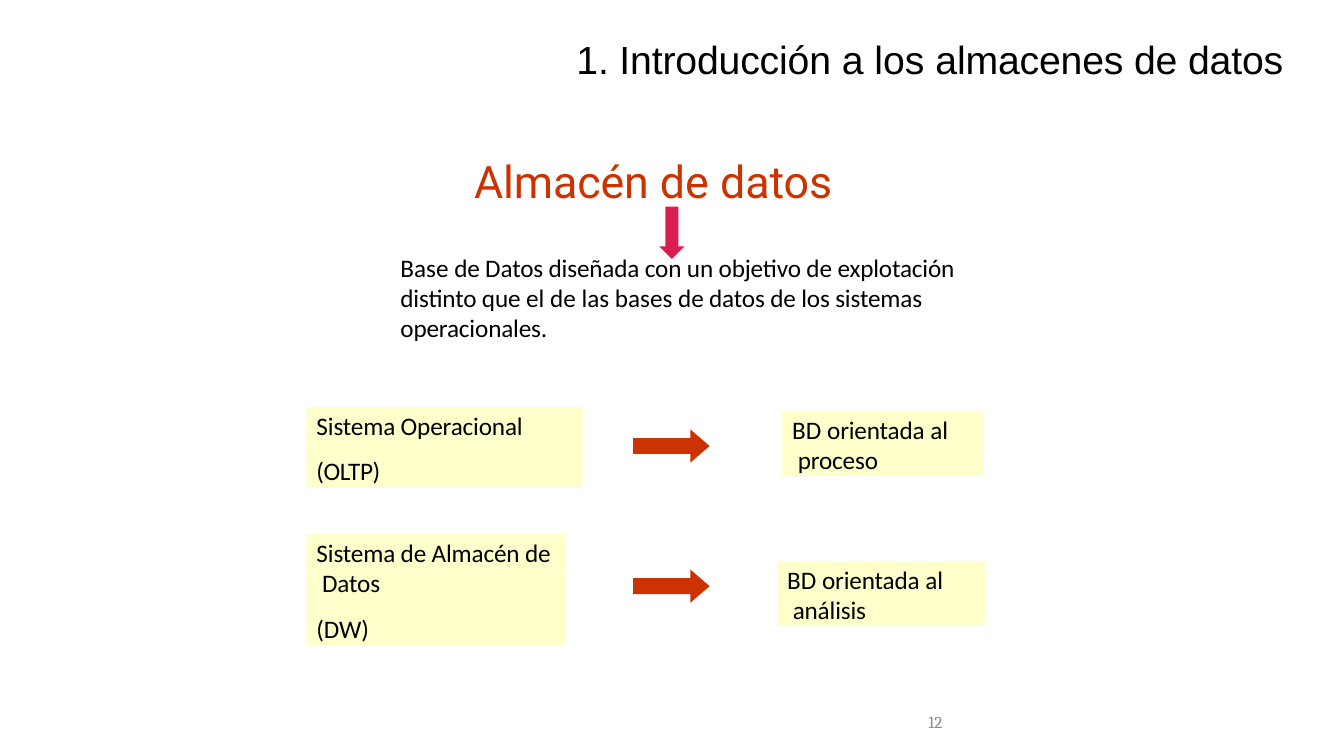
from pptx import Presentation
from pptx.dml.color import RGBColor
from pptx.enum.shapes import MSO_SHAPE
from pptx.enum.text import MSO_ANCHOR
from pptx.util import Pt

RECT = MSO_SHAPE.RECTANGLE
RIGHT = MSO_SHAPE.RIGHT_ARROW
DOWN = MSO_SHAPE.DOWN_ARROW
TOP = MSO_ANCHOR.TOP
MIDDLE = MSO_ANCHOR.MIDDLE

BLACK, RUST, PINK, CREAM, GRAY = "000000", "CC3300", "DA1E4F", "FFFFCC", "888888"


def color(code):
    return RGBColor.from_string(code)


class Sheet:
    """Style and current slide; all lengths are in points."""
    body, size, tight = "Calibri", 18, -0.1

    def __init__(self, deck):
        self.slide = deck.slides.add_slide(deck.slide_layouts[6])

    def shape(self, kind, area, fill):
        item = self.slide.shapes.add_shape(kind, *map(Pt, area))
        item.shadow.inherit = False
        item.fill.solid()
        item.fill.fore_color.rgb = color(fill)
        item.line.fill.background()
        return item

    def set_text(self, item, paras, font=None, size=None, ink=BLACK,
                 inset=0, left=0, hang=0, gap=0, anchor=TOP):
        frame = item.text_frame
        frame.word_wrap = True
        frame.vertical_anchor = anchor
        frame.margin_left = frame.margin_right = frame.margin_bottom = 0
        frame.margin_top = Pt(inset)
        for i, runs in enumerate(paras):
            para = frame.add_paragraph() if i else frame.paragraphs[0]
            props = para._p.get_or_add_pPr()
            props.set("marL", str(Pt(left + hang)))
            props.set("indent", str(Pt(-hang)))
            props.set("algn", "l")
            if i:
                para.space_before = Pt(gap)
            for text, space in runs:
                run = para.add_run()
                run.text = text
                run.font.name = font or self.body
                run.font.size = Pt(size or self.size)
                run.font.color.rgb = color(ink)
                run._r.get_or_add_rPr().set("spc", str(round(space * 100)))

    def label(self, area, runs, **style):
        item = self.slide.shapes.add_textbox(*map(Pt, area))
        self.set_text(item, [runs], **style)

    def card(self, area, paras):
        item = self.shape(RECT, area, CREAM)
        self.set_text(item, paras, inset=2.2, left=7.2, hang=4, gap=10.8)

    def arrow(self, kind, area, fill, shaft, head):
        item = self.shape(kind, area, fill)
        item.adjustments[0] = shaft
        item.adjustments[1] = head


def main():
    deck = Presentation()
    deck.slide_width, deck.slide_height = Pt(960), Pt(540)
    sheet = Sheet(deck)
    tight = sheet.tight

    # Title and heading
    sheet.label((411.8, 23.8, 540, 35.3),
                [("1. Introducción", tight), (" a los ", 0),
                 ("almacenes de datos", tight)],
                font="Arial", size=28, inset=0.9, anchor=MIDDLE)
    sheet.label((337.7, 108.7, 265, 40.3),
                [("Almacén ", tight), ("de ", 0), ("datos", tight)],
                font="Roboto", size=32, ink=RUST, inset=0.9, left=0.9)

    # Definition
    sheet.arrow(DOWN, (470.9, 147.6, 18, 37.4), PINK, 0.52, 0.5)
    sheet.label((285.1, 179.3, 403.9, 67),
                [("Base ", 0),
                 ("de Datos diseñada con un objetivo de explotación distinto que ", tight),
                 ("el ", 0), ("de", tight), (" las bases ", 0),
                 ("de datos de los sistemas operacionales.", tight)],
                inset=0.9, left=0.9)

    # Each system, its arrow and its kind of database
    rows = [
        ("Sistema Operacional", ("(OLTP)", -0.3), (218.9, 290.9, 197.3, 56.9),
         306.7, "proceso", (558.7, 293.8, 144, 46.1)),
        ("Sistema de Almacén de Datos", ("(DW)", tight), (218.9, 381.6, 185, 79.2),
         406.8, "análisis", (555.1, 401, 149, 46.1)),
    ]
    for name, short, left, top, goal, right in rows:
        sheet.card(left, [[(name, tight)], [short]])
        sheet.arrow(RIGHT, (452.2, top, 54.7, 23.8), RUST, 0.48, 0.58)
        sheet.card(right, [[("BD ", 0), ("orientada ", tight),
                            ("al ", 0), (goal, tight)]])

    # Page number
    sheet.label((660.2, 506.2, 19.4, 18.7), [("12", 0)], font="Cambria",
                size=12, ink=GRAY, left=2.9, anchor=MIDDLE)

    deck.save("out.pptx")


if __name__ == "__main__":
    main()
